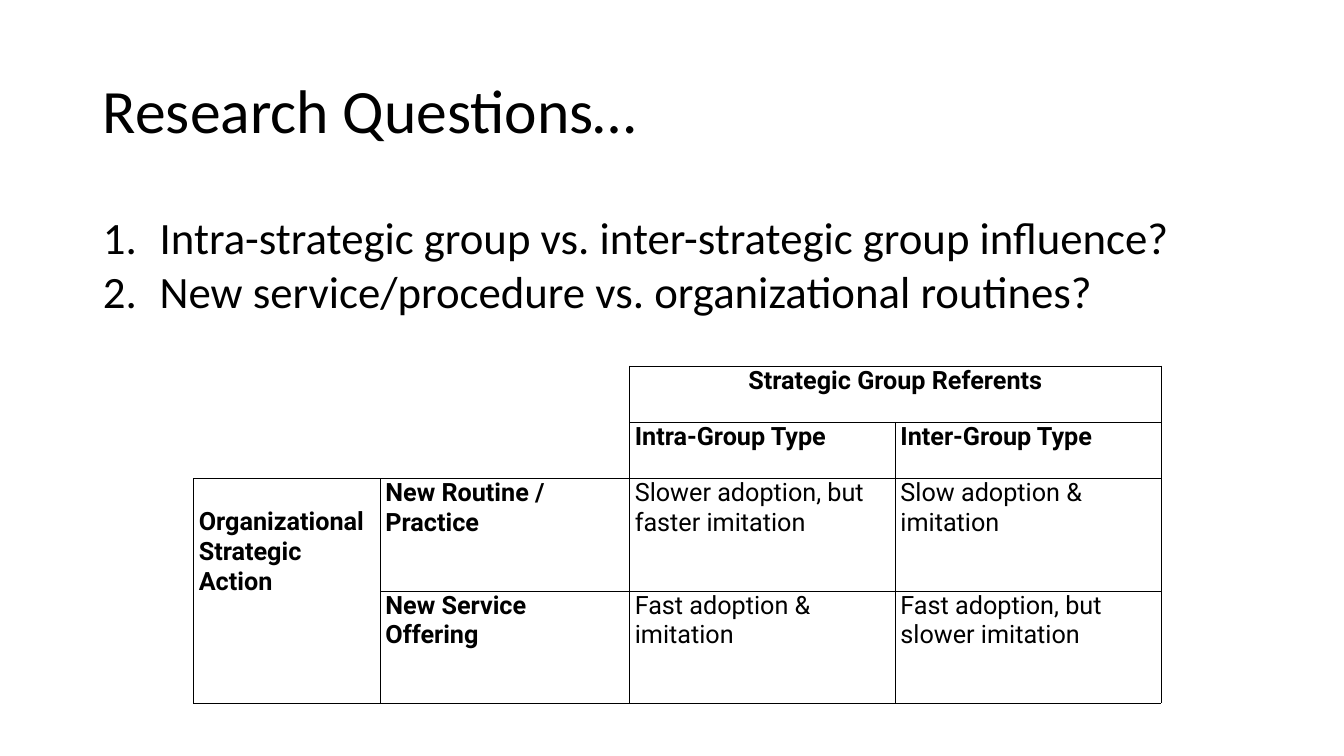
from lxml.etree import SubElement
from pptx import Presentation
from pptx.dml.color import RGBColor
from pptx.enum.text import MSO_ANCHOR, MSO_AUTO_SIZE, PP_ALIGN
from pptx.oxml.ns import qn
from pptx.util import Cm, Pt

COLORS = {"text": "000000", "border": "000000", "background": "FFFFFF"}
TITLE_FONT = {"name": "Calibri", "size": Pt(44), "bold": False}
LIST_FONT = {"name": "Calibri", "size": Pt(32), "bold": False}
HEAD_FONT = {"name": "Roboto", "size": Pt(18), "bold": True}
CELL_FONT = {**HEAD_FONT, "bold": False}

QUESTIONS = [
    "Intra-strategic group vs. inter-strategic group influence?",
    "New service/procedure vs. organizational routines?",
]
GRID = [
    ["", "", "Strategic Group Referents", ""],
    ["", "", "Intra-Group Type", "Inter-Group Type"],
    ["Organizational Strategic Action", "New Routine / Practice",
     "Slower adoption, but faster imitation", "Slow adoption & imitation"],
    ["", "New Service Offering",
     "Fast adoption & imitation", "Fast adoption, but slower imitation"],
]
COL_SHARES = [1.84, 2.46, 2.62, 2.62]
ROW_SHARES = [1, 1, 2, 2]
HEADS = 2  # header rows and header columns


def set_attrs(obj, values):
    for name, value in values.items():
        setattr(obj, name, value)


def add_run(p, text, font):
    r = p.add_run()
    r.text = text
    set_attrs(r.font, font)
    r.font.color.rgb = RGBColor.from_string(COLORS["text"])


def place(sp, box):
    set_attrs(sp, dict(zip(("left", "top", "width", "height"), box)))


def fill_title(sp, box, text):
    place(sp, box)
    tf = sp.text_frame
    set_attrs(tf, {"vertical_anchor": MSO_ANCHOR.MIDDLE, "word_wrap": True,
                   "auto_size": MSO_AUTO_SIZE.NONE})
    p = tf.paragraphs[0]
    set_attrs(p, {"alignment": PP_ALIGN.LEFT, "line_spacing": 0.9})
    add_run(p, text, TITLE_FONT)


def fill_numbered_list(sp, box, items):
    place(sp, box)
    tf = sp.text_frame
    set_attrs(tf, {"vertical_anchor": MSO_ANCHOR.TOP, "word_wrap": True,
                   "auto_size": MSO_AUTO_SIZE.SHAPE_TO_FIT_TEXT})
    indent = Cm(1.43)
    for i, item in enumerate(items):
        p = tf.add_paragraph() if i else tf.paragraphs[0]
        set_attrs(p, {"space_before": Pt(0), "line_spacing": 1.0})
        add_run(p, item, LIST_FONT)
        pPr = p._p.get_or_add_pPr()
        pPr.set("marL", str(indent))
        pPr.set("indent", str(-indent))
        SubElement(pPr, qn("a:buFont"), typeface="+mj-lt")
        SubElement(pPr, qn("a:buAutoNum"), type="arabicPeriod")


def set_borders(cell, sides):
    """Draw the named sides (of L, R, T, B) and clear the others."""
    tcPr = cell._tc.get_or_add_tcPr()
    for side in "LRTB":
        ln = SubElement(tcPr, qn(f"a:ln{side}"), w=str(Pt(0.33)))
        if side in sides:
            fill = SubElement(ln, qn("a:solidFill"))
            SubElement(fill, qn("a:srgbClr"), val=COLORS["border"])
        else:
            SubElement(ln, qn("a:noFill"))


def corner_sides(row, col):
    """Sides where the empty corner meets the drawn grid."""
    return ("R" if col == HEADS - 1 else "") + ("B" if row == HEADS - 1 else "")


def add_matrix(s, box):
    left, top, width, height = box
    frame = s.shapes.add_table(len(GRID), len(GRID[0]), left, top, width, height)
    table = frame.table
    set_attrs(table, {"first_row": False, "horz_banding": False})
    for col, share in zip(table.columns, COL_SHARES):
        col.width = int(width * share / sum(COL_SHARES))
    for row, share in zip(table.rows, ROW_SHARES):
        row.height = int(height * share / sum(ROW_SHARES))
    table.cell(0, 2).merge(table.cell(0, 3))
    table.cell(2, 0).merge(table.cell(3, 0))

    for i, texts in enumerate(GRID):
        for j, text in enumerate(texts):
            cell = table.cell(i, j)
            in_corner = i < HEADS and j < HEADS
            set_borders(cell, corner_sides(i, j) if in_corner else "LRTB")
            cell.fill.background()
            set_attrs(cell, {"margin_left": Cm(0.13), "margin_right": Cm(0.13),
                             "margin_top": 0, "margin_bottom": 0,
                             "vertical_anchor": MSO_ANCHOR.TOP})
            if text:
                font = HEAD_FONT if i < HEADS or j < HEADS else CELL_FONT
                add_run(cell.text_frame.paragraphs[0], text, font)
    table.cell(0, 2).text_frame.paragraphs[0].alignment = PP_ALIGN.CENTER
    table.cell(2, 0).margin_top = Cm(0.74)


def build_questions_slide(prs):
    s = prs.slides.add_slide(prs.slide_layouts[1])
    s.background.fill.solid()
    s.background.fill.fore_color.rgb = RGBColor.from_string(COLORS["background"])
    left = Cm(2.34)
    fill_title(s.shapes.title, (left, Cm(1.02), Cm(29.21), Cm(3.68)),
               "Research Questions…")
    fill_numbered_list(s.placeholders[1], (left, Cm(5.16), Cm(30.28), Cm(3)),
                       QUESTIONS)
    add_matrix(s, (Cm(4.88), Cm(9.22), Cm(24.38), Cm(8.5)))


def main():
    prs = Presentation()
    set_attrs(prs, {"slide_width": Cm(33.87), "slide_height": Cm(19.05)})
    build_questions_slide(prs)
    prs.save("out.pptx")


if __name__ == "__main__":
    main()
